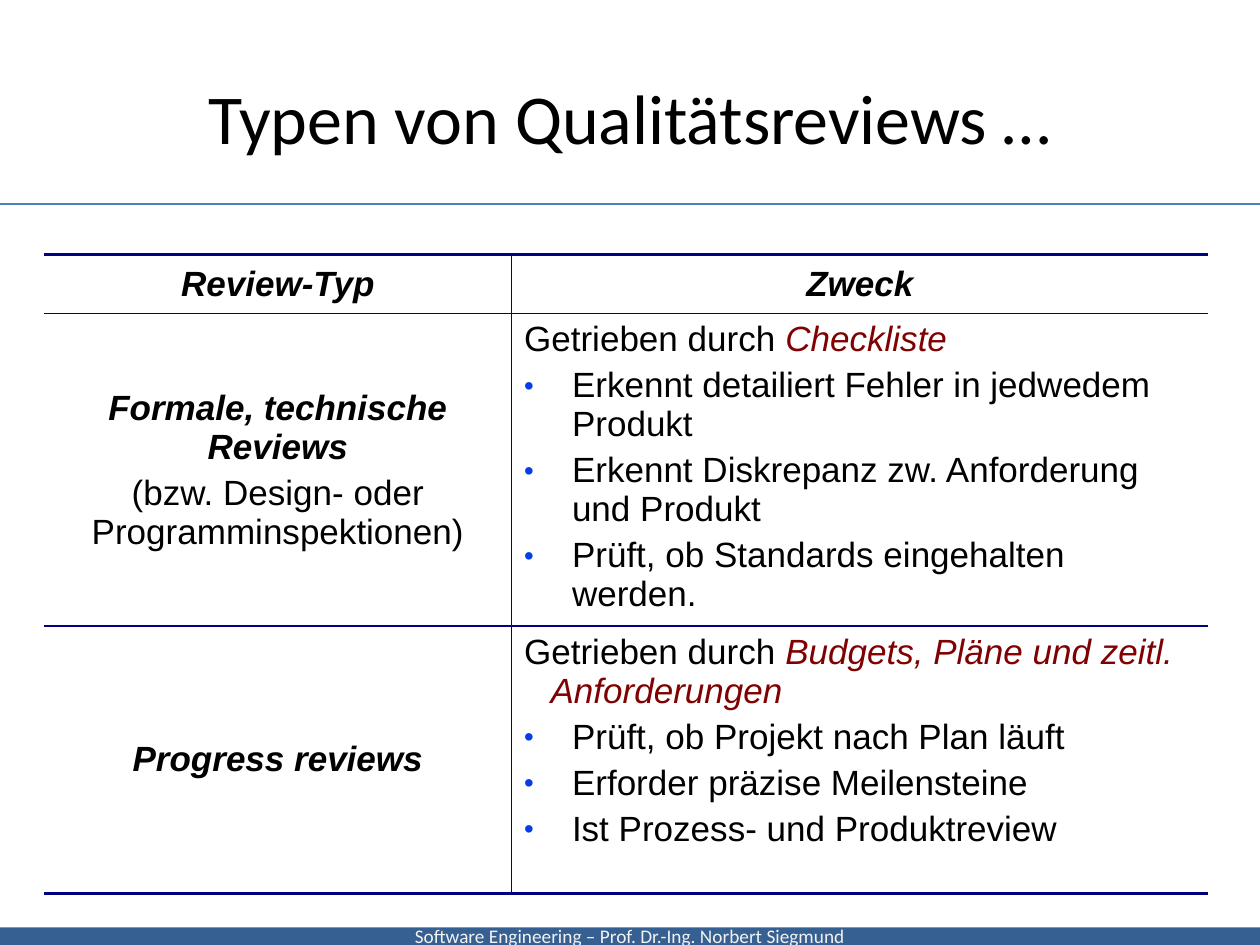
from lxml import etree
from pptx import Presentation
from pptx.dml.color import RGBColor
from pptx.enum.shapes import MSO_CONNECTOR, MSO_SHAPE
from pptx.enum.text import MSO_ANCHOR, PP_ALIGN
from pptx.oxml.ns import qn
from pptx.util import Inches, Pt

CENTER, LEFT = PP_ALIGN.CENTER, PP_ALIGN.LEFT
MIDDLE, TOP = MSO_ANCHOR.MIDDLE, MSO_ANCHOR.TOP
RECTANGLE, STRAIGHT = MSO_SHAPE.RECTANGLE, MSO_CONNECTOR.STRAIGHT

COLORS = {
    "text": "000000",
    "accent": "7F0101",
    "bullet": "063DE8",
    "border": "00027F",
    "rule": "4B7EBC",
    "footer": "376092",
    "footer_text": "F2F2F2",
}
THICK, THIN = 2.25, 1
HEADERS = ["Review-Typ", "Zweck"]
# Review type, note, what drives it, purposes
REVIEWS = [
    ("Formale, technische Reviews", "(bzw. Design- oder Programminspektionen)", "Checkliste",
     ["Erkennt detailiert Fehler in jedwedem Produkt",
      "Erkennt Diskrepanz zw. Anforderung und Produkt",
      "Prüft, ob Standards eingehalten werden."]),
    ("Progress reviews", None, "Budgets, Pläne und zeitl. Anforderungen",
     ["Prüft, ob Projekt nach Plan läuft",
      "Erforder präzise Meilensteine",
      "Ist Prozess- und Produktreview"]),
]


def rgb(name):
    return RGBColor.from_string(COLORS[name])


def add_run(paragraph, text, size=20, font="Arial", color="text", bold=False, italic=False):
    run = paragraph.add_run()
    run.text = text
    run.font.size, run.font.name = Pt(size), font
    run.font.bold, run.font.italic = bold, italic
    run.font.color.rgb = rgb(color)


def clear_insets(frame):
    frame.margin_left = frame.margin_right = frame.margin_top = frame.margin_bottom = 0


def set_indent(paragraph, hanging):
    properties = paragraph._p.get_or_add_pPr()
    properties.set("marL", str(Inches(hanging)))
    properties.set("indent", str(-Inches(hanging)))
    return properties


def add_bullet(paragraph):
    properties = set_indent(paragraph, 0.38)
    color = etree.SubElement(properties, qn("a:buClr"))
    etree.SubElement(color, qn("a:srgbClr"), val=COLORS["bullet"])
    etree.SubElement(properties, qn("a:buSzPct"), val="79000")
    etree.SubElement(properties, qn("a:buFont"), typeface="Arial")
    etree.SubElement(properties, qn("a:buChar"), char="•")


def set_borders(cell, widths):
    """Draw the given sides; the sides left out get no line."""
    properties = cell._tc.get_or_add_tcPr()
    for side in "LRTB":
        width = widths.get(side)
        line = etree.SubElement(properties, qn(f"a:ln{side}"), w=str(Pt(width or THIN)))
        if width:
            fill = etree.SubElement(line, qn("a:solidFill"))
            etree.SubElement(fill, qn("a:srgbClr"), val=COLORS["border"])
        else:
            etree.SubElement(line, qn("a:noFill"))


def next_paragraph(cell, align=LEFT):
    """First paragraph of an empty cell, else a new spaced one."""
    frame = cell.text_frame
    paragraph = frame.paragraphs[0]
    if paragraph.runs:
        paragraph = frame.add_paragraph()
    return paragraph, align


def write_line(cell, runs, align=LEFT, bullet=False, hanging=None):
    frame = cell.text_frame
    is_first = not frame.paragraphs[0].runs
    paragraph = frame.paragraphs[0] if is_first else frame.add_paragraph()
    if bullet:
        add_bullet(paragraph)
    elif hanging:
        set_indent(paragraph, hanging)
    paragraph.alignment = align
    if not is_first:
        paragraph.space_before = Pt(4)
    for text, style in runs:
        add_run(paragraph, text, **style)


def add_title(slide, left, top, width, height):
    title = slide.shapes.title
    title.left, title.top, title.width, title.height = map(Inches, (left, top, width, height))
    frame = title.text_frame
    clear_insets(frame)
    frame.vertical_anchor = MIDDLE
    frame.paragraphs[0].alignment = CENTER
    add_run(frame.paragraphs[0], "Typen von Qualitätsreviews …", 40, "Calibri")


def add_title_rule(slide, left, top, width):
    rule = slide.shapes.add_connector(
        STRAIGHT, Inches(left), Inches(top), Inches(left + width), Inches(top))
    rule.line.color.rgb = rgb("rule")
    rule.line.width = Pt(0.75)
    etree.SubElement(rule._element.spPr, qn("a:effectLst"))


def add_footer(slide, left, top, width, height):
    bar = slide.shapes.add_shape(RECTANGLE, *map(Inches, (left, top, width, height)))
    bar.shadow.inherit = False
    bar.fill.solid()
    bar.fill.fore_color.rgb = rgb("footer")
    bar.line.fill.background()
    frame = bar.text_frame
    clear_insets(frame)
    frame.vertical_anchor = MIDDLE
    frame.paragraphs[0].alignment = CENTER
    add_run(frame.paragraphs[0], "Software Engineering – Prof. Dr.-Ing. Norbert Siegmund",
            11, "Calibri", "footer_text")


def add_review_table(slide, left, top, width, row_heights):
    row_count = len(row_heights)
    table = slide.shapes.add_table(
        row_count, 2, *map(Inches, (left, top, width, sum(row_heights)))).table
    table.first_row = table.horz_banding = False
    table.columns[0].width = Inches(3.71)
    table.columns[1].width = Inches(width - 3.71)

    # Thick outer rules, thin inner ones, open sides
    for row, height in enumerate(row_heights):
        table.rows[row].height = Inches(height)
        for column in range(2):
            cell = table.cell(row, column)
            set_borders(cell, {
                "T": THICK if row == 0 else THIN,
                "B": THICK if row == row_count - 1 else THIN,
                "L" if column else "R": THIN,
            })
            cell.fill.background()
            cell.vertical_anchor = TOP if row and column else MIDDLE

    strong = {"bold": True, "italic": True}
    for column, header in enumerate(HEADERS):
        write_line(table.cell(0, column), [(header, strong)], CENTER)

    for row, (review, note, driver, purposes) in enumerate(REVIEWS, start=1):
        kind, purpose_cell = table.cell(row, 0), table.cell(row, 1)
        write_line(kind, [(review, strong)], CENTER)
        if note:
            write_line(kind, [(note, {})], CENTER)
        write_line(purpose_cell, [("Getrieben durch ", {}),
                                  (driver, {"color": "accent", "italic": True})], hanging=0.21)
        for purpose in purposes:
            write_line(purpose_cell, [(purpose, {})], bullet=True)


def main():
    deck = Presentation()
    deck.slide_width, deck.slide_height = Inches(10), Inches(7.5)
    slide = deck.slides.add_slide(deck.slide_layouts[5])
    add_footer(slide, 0, 7.36, 10, 0.14)
    add_title_rule(slide, 0, 1.62, 10)
    add_title(slide, 0.5, 0.3, 9, 1.25)
    add_review_table(slide, 0.35, 2.02, 9.24, [0.47, 2.48, 2.12])
    deck.save("out.pptx")


if __name__ == "__main__":
    main()
